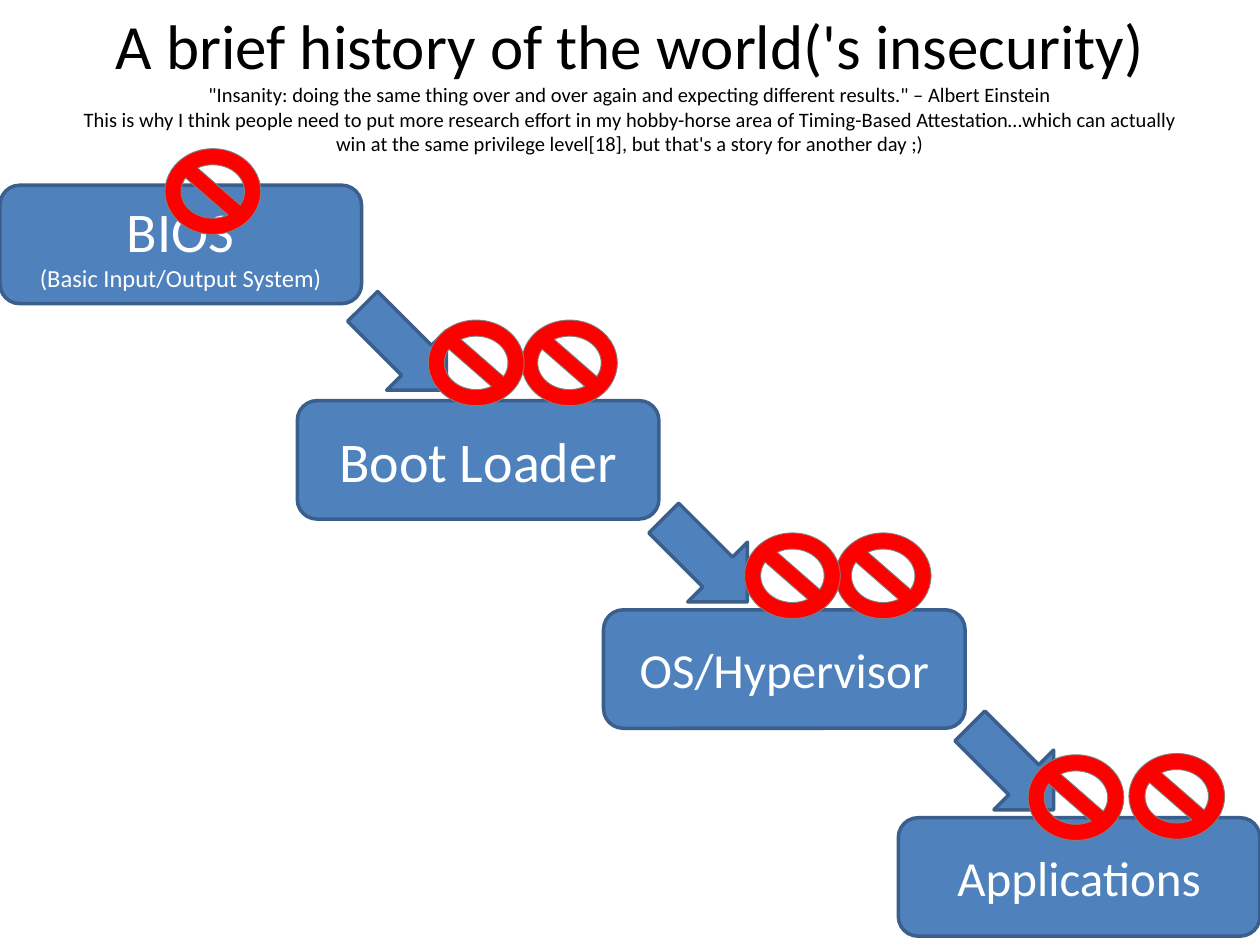
from pptx import Presentation
from pptx.dml.color import RGBColor
from pptx.enum.shapes import MSO_SHAPE
from pptx.enum.text import MSO_ANCHOR, MSO_AUTO_SIZE, PP_ALIGN
from pptx.util import Inches, Pt

BLUE = RGBColor(0x4F, 0x81, 0xBD)
DARK_BLUE = RGBColor(0x3A, 0x5F, 0x8C)
RED = RGBColor(0xFF, 0x00, 0x00)
GRAY = RGBColor(0x80, 0x80, 0x80)
WHITE = RGBColor(0xFF, 0xFF, 0xFF)
BLACK = RGBColor(0x00, 0x00, 0x00)

presentation = Presentation()
presentation.slide_width, presentation.slide_height = Inches(10), Inches(7.5)
slide = presentation.slides.add_slide(presentation.slide_layouts[5])


def add_filled_shape(kind, left, top, width, height, fill, line, line_width):
    shape = slide.shapes.add_shape(
        kind, Inches(left), Inches(top), Inches(width), Inches(height))
    shape.shadow.inherit = False
    shape.fill.solid()
    shape.fill.fore_color.rgb = fill
    shape.line.color.rgb = line
    shape.line.width = Pt(line_width)
    return shape


def add_text(paragraph, text, size, color):
    paragraph.alignment = PP_ALIGN.CENTER
    run = paragraph.add_run()
    run.text = text
    run.font.color.rgb = color
    for name, value in {"name": "Calibri", "size": Pt(size)}.items():
        setattr(run.font, name, value)


# Title with the quotation under it
title = slide.shapes.title
position = {"left": 0.5, "top": 0.02, "width": 9, "height": 1.25}
for name, value in position.items():
    setattr(title, name, Inches(value))
frame_format = {"auto_size": MSO_AUTO_SIZE.NONE, "word_wrap": True,
                "vertical_anchor": MSO_ANCHOR.MIDDLE}
for name, value in frame_format.items():
    setattr(title.text_frame, name, value)
title_lines = [
    ("A brief history of the world('s insecurity)", 36),
    ("\"Insanity: doing the same thing over and over again and expecting "
     "different results.\" – Albert Einstein", 11.7),
    ("This is why I think people need to put more research effort in my "
     "hobby-horse area of Timing-Based Attestation…which can actually win at "
     "the same privilege level[18], but that's a story for another day ;)", 11.7),
]
paragraph = title.text_frame.paragraphs[0]
for index, (text, size) in enumerate(title_lines):
    if index:
        paragraph.add_line_break()
    add_text(paragraph, text, size, BLACK)

# Boot stages, from firmware to applications
stages = [
    (0, 1.47, [("BIOS", 32), ("(Basic Input/Output System)", 14)]),
    (2.36, 3.18, [("Boot Loader", 32)]),
    (4.79, 4.84, [("OS/Hypervisor", 28)]),
    (7.13, 6.49, [("Applications", 28)]),
]
for left, top, lines in stages:
    stage = add_filled_shape(MSO_SHAPE.ROUNDED_RECTANGLE, left, top, 2.87, 0.94,
                             BLUE, DARK_BLUE, 2)
    frame = stage.text_frame
    frame.vertical_anchor = MSO_ANCHOR.MIDDLE
    for index, (text, size) in enumerate(lines):
        paragraph = frame.add_paragraph() if index else frame.paragraphs[0]
        add_text(paragraph, text, size, WHITE)

# Arrows from each stage to the next
for left, top in [(2.74, 2.43), (5.13, 4.11), (7.56, 5.76)]:
    arrow = add_filled_shape(MSO_SHAPE.RIGHT_ARROW, left, top, 0.94, 0.67,
                             BLUE, DARK_BLUE, 2)
    arrow.rotation = 45

# Prohibition signs, the left one of each pair in front
signs = [(8.96, 5.98), (6.63, 4.23), (4.14, 2.54),
         (8.16, 5.99), (5.91, 4.23), (3.4, 2.54), (1.31, 1.18)]
for left, top in signs:
    add_filled_shape(MSO_SHAPE.NO_SYMBOL, left, top, 0.76, 0.68, RED, GRAY, 0.5)

presentation.save("out.pptx")
